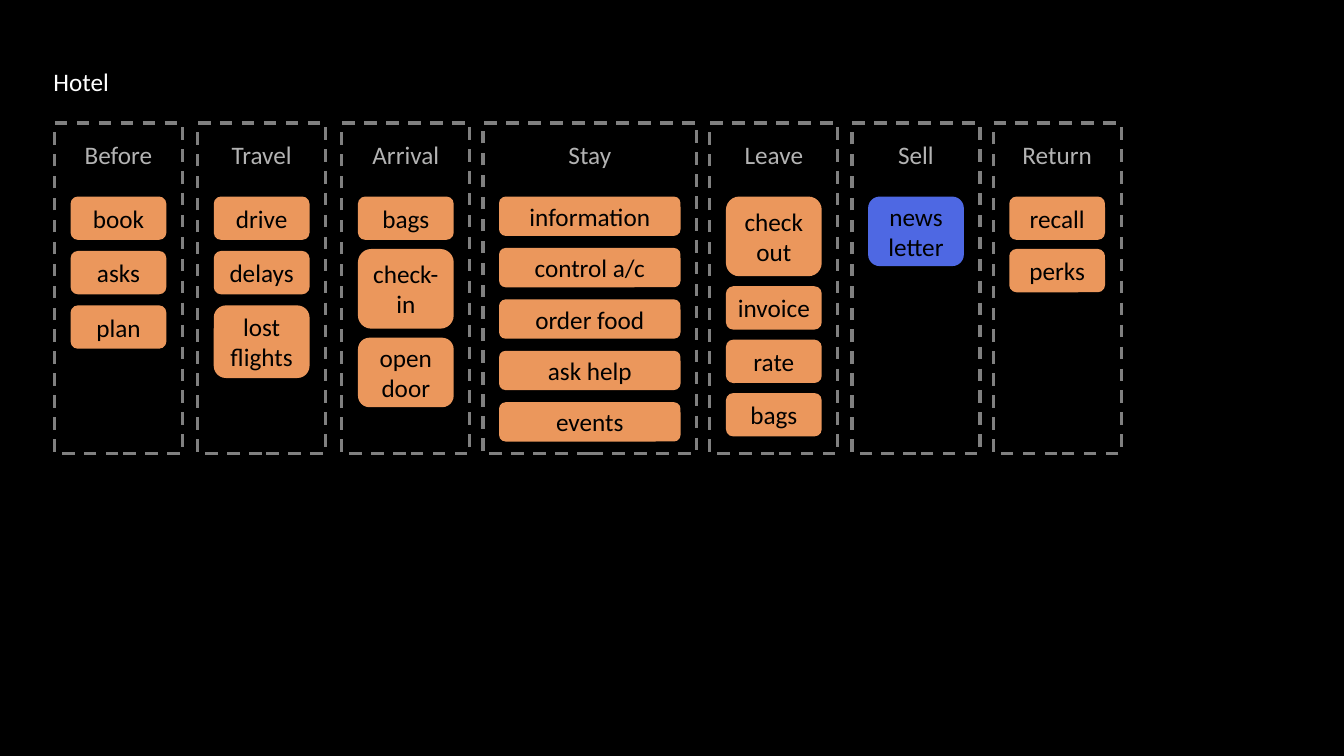
from dataclasses import dataclass

from pptx import Presentation
from pptx.dml.color import RGBColor
from pptx.enum.dml import MSO_LINE
from pptx.enum.shapes import MSO_SHAPE
from pptx.enum.text import MSO_ANCHOR, MSO_AUTO_SIZE, PP_ALIGN
from pptx.util import Inches, Pt


@dataclass(frozen=True)
class Theme:
    background: str = "000000"
    title: str = "FFFFFF"
    stage_text: str = "B3B3B3"
    stage_border: str = "808080"
    card_text: str = "000000"
    card: str = "EB975C"
    highlight: str = "4E68E3"
    font: str = "Calibri"
    size: int = 18
    border_width: float = 2.25


THEME = Theme()

TITLE = "Hotel"

# Card heights in inches
SLIM, SINGLE, MEDIUM, DOUBLE, TALL = 0.39, 0.43, 0.69, 0.72, 0.79

# Stage, left edge, width, gap between cards, cards (label, height)
STAGES = [
    ("Before", 0.54, 1.27, 0.11,
     [("book", SINGLE), ("asks", SINGLE), ("plan", SINGLE)]),
    ("Travel", 1.96, 1.27, 0.11,
     [("drive", SINGLE), ("delays", SINGLE), ("lost flights", DOUBLE)]),
    ("Arrival", 3.39, 1.27, 0.09,
     [("bags", SINGLE), ("check-in", TALL), ("open door", MEDIUM)]),
    ("Stay", 4.79, 2.12, 0.12,
     [("information", SLIM), ("control a/c", SLIM), ("order food", SLIM),
      ("ask help", SLIM), ("events", SLIM)]),
    ("Leave", 7.04, 1.27, 0.1,
     [("check out", TALL), ("invoice", SINGLE), ("rate", SINGLE), ("bags", SINGLE)]),
    ("Sell", 8.45, 1.27, 0.1, [("news\vletter", MEDIUM)]),
    ("Return", 9.85, 1.27, 0.09, [("recall", SINGLE), ("perks", SINGLE)]),
]
HIGHLIGHTED_STAGE = "Sell"

STAGE_TOP, STAGE_HEIGHT = 1.22, 3.28
CARDS_TOP = 1.95
PADDING = 0.16
CARD_PADDING = 0.05


def write(shape, wording, color, align, anchor, margin_x, margin_y):
    frame = shape.text_frame
    frame.text = wording
    frame.vertical_anchor = anchor
    frame.margin_left = frame.margin_right = Inches(margin_x)
    frame.margin_top = frame.margin_bottom = Inches(margin_y)
    paragraph = frame.paragraphs[0]
    paragraph.alignment = align
    for run in paragraph.runs:
        run.font.name = THEME.font
        run.font.size = Pt(THEME.size)
        run.font.color.rgb = RGBColor.from_string(color)
    return frame


def add_panel(slide, preset, box, wording, text_color, anchor, padding):
    panel = slide.shapes.add_shape(preset, *map(Inches, box))
    panel.shadow.inherit = False
    write(panel, wording, text_color, PP_ALIGN.CENTER, anchor, padding, padding).word_wrap = True
    return panel


def add_card(slide, box, label, fill):
    card = add_panel(slide, MSO_SHAPE.ROUNDED_RECTANGLE, box, label,
                     THEME.card_text, MSO_ANCHOR.MIDDLE, CARD_PADDING)
    card.fill.solid()
    card.fill.fore_color.rgb = RGBColor.from_string(fill)
    card.line.fill.background()


def add_stage(slide, name, left, width, gap, cards):
    stage = add_panel(slide, MSO_SHAPE.RECTANGLE, (left, STAGE_TOP, width, STAGE_HEIGHT),
                      name, THEME.stage_text, MSO_ANCHOR.TOP, PADDING)
    stage.fill.background()
    stage.line.color.rgb = RGBColor.from_string(THEME.stage_border)
    stage.line.width = Pt(THEME.border_width)
    stage.line.dash_style = MSO_LINE.DASH

    fill = THEME.highlight if name == HIGHLIGHTED_STAGE else THEME.card
    top = CARDS_TOP
    for label, height in cards:
        add_card(slide, (left + PADDING, top, width - 2 * PADDING, height), label, fill)
        top += height + gap


def add_title(slide):
    title = slide.shapes.add_textbox(*map(Inches, (0.53, 0.61, 0.63, 0.4)))
    frame = write(title, TITLE, THEME.title, PP_ALIGN.LEFT, MSO_ANCHOR.TOP, 0, CARD_PADDING)
    frame.word_wrap = False
    frame.auto_size = MSO_AUTO_SIZE.SHAPE_TO_FIT_TEXT


def main():
    deck = Presentation()
    deck.slide_width, deck.slide_height = Inches(13.33), Inches(7.5)
    slide = deck.slides.add_slide(deck.slide_layouts[6])
    slide.background.fill.solid()
    slide.background.fill.fore_color.rgb = RGBColor.from_string(THEME.background)
    add_title(slide)
    for stage in STAGES:
        add_stage(slide, *stage)
    deck.save("out.pptx")


if __name__ == "__main__":
    main()
